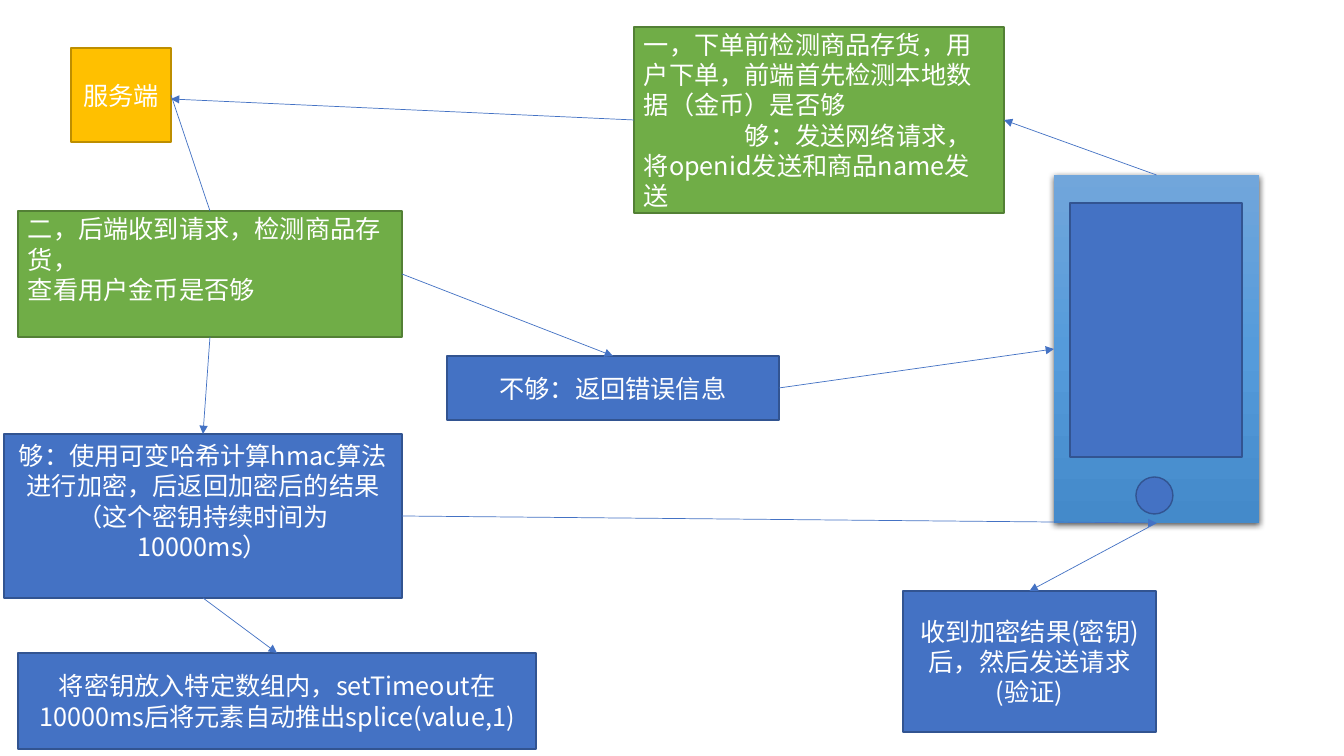
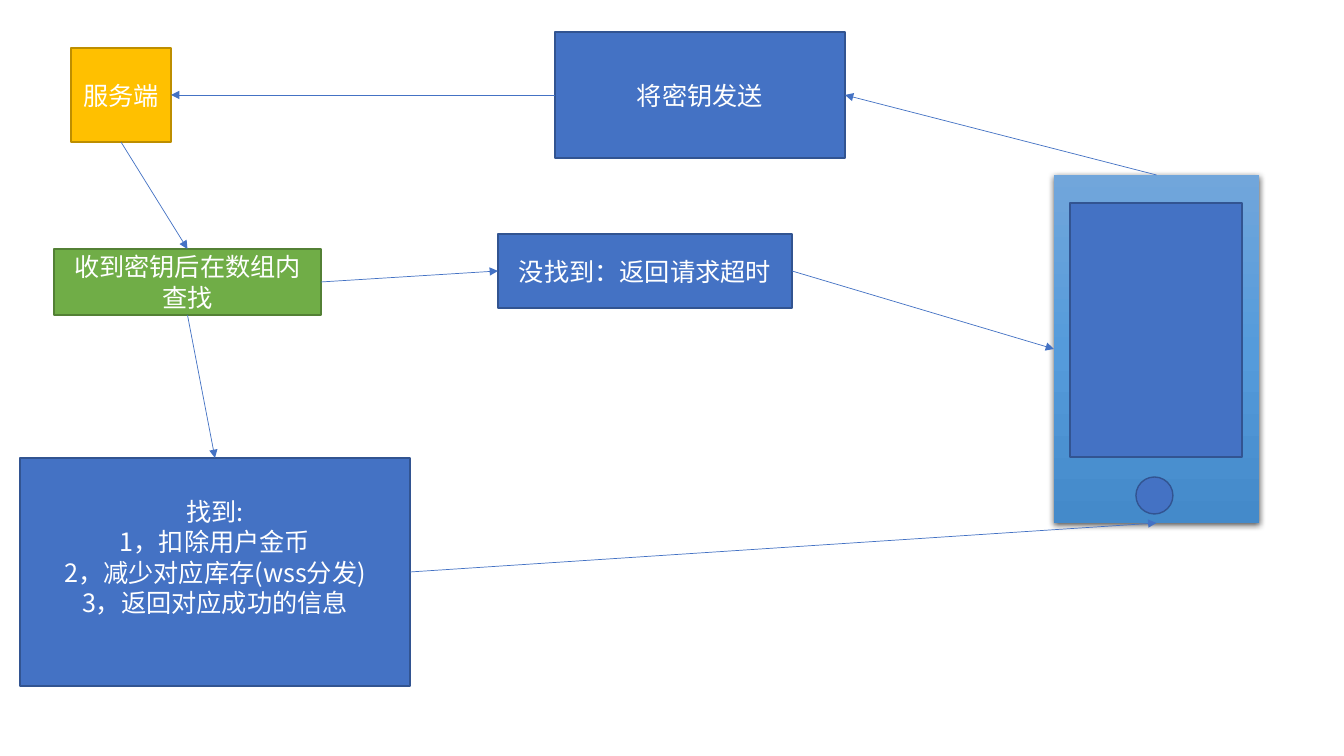
from copy import deepcopy
from dataclasses import dataclass

from lxml.etree import SubElement
from pptx import Presentation
from pptx.dml.color import RGBColor
from pptx.enum.shapes import MSO_CONNECTOR, MSO_SHAPE
from pptx.enum.text import MSO_ANCHOR, PP_ALIGN
from pptx.oxml.ns import qn
from pptx.util import Pt

RECT, OVAL = MSO_SHAPE.RECTANGLE, MSO_SHAPE.OVAL
STRAIGHT = MSO_CONNECTOR.STRAIGHT
LEFT, MID = PP_ALIGN.LEFT, PP_ALIGN.CENTER
MIDDLE = MSO_ANCHOR.MIDDLE
EMU = 914400 / 100.8
WIDE, HIGH = 1344, 756
SITES = {"top": 0, "left": 1, "bottom": 2, "right": 3}


@dataclass(frozen=True)
class Theme:
    """Colours, type and line widths of the deck."""
    blue: tuple = ("4472C4", "325491")
    green: tuple = ("70AD47", "538035")
    gold: tuple = ("FFC000", "BD8E00")
    glass: tuple = ((0, "71A6DB"), (0.5, "559BDB"), (1, "448ACA"))
    ink: str = "FFFFFF"
    font: str = "Noto Sans CJK SC"
    size: int = 18
    edge: float = 1
    wire: float = 0.5


T = Theme()
INSET, ROW, TAB = 5, 30, 101

# Shared by every slide: phone parts and the server box
PHONE = (1054, 175, 205, 348)
BUTTON = (1136, 477, 37, 37)
SCREEN = (1070, 203, 172, 254)
SERVER = ((71, 48, 100, 94), T.gold, ["服务端"], {})

# Box: place, colours, paragraphs, text format
# Link: from box, side, to box, side, then options
SLIDES = [
    {
        "boxes": {
            "ask": ((634, 27, 370, 186), T.green, [
                "一，下单前检测商品存货，用户下单，前端首先检测本地数据（金币）是否够",
                "够：发送网络请求，将openid发送和商品name发送",
            ], {"align": LEFT, "indents": (0, TAB)}),
            "check": ((18, 211, 384, 126), T.green, [
                "二，后端收到请求，检测商品存货，", "查看用户金币是否够",
            ], {"align": LEFT, "pad": ROW}),
            "fail": ((447, 356, 332, 64), T.blue, ["不够：返回错误信息"], {}),
            "enough": ((4, 434, 398, 164), T.blue, [
                "够：使用可变哈希计算hmac算法进行加密，后返回加密后的结果"
                "（这个密钥持续时间为10000ms）",
            ], {"pad": ROW}),
            "reply": ((903, 591, 253, 141), T.blue, [
                "收到加密结果(密钥)后，然后发送请求(验证)"], {}),
            "store": ((18, 653, 518, 96), T.blue, [
                "将密钥放入特定数组内，setTimeout在10000ms后将元素"
                "自动推出splice(value,1)"], {}),
        },
        "links": [
            ("phone", "top", "ask", "right", {}),
            ("ask", "left", "server", "right", {"nudge": 4}),
            ("server", "right", "check", "top", {"head": False}),
            ("check", "right", "fail", "top", {}),
            ("fail", "right", "phone", "left", {}),
            ("check", "bottom", "enough", "top", {}),
            ("enough", "right", "phone", "bottom", {}),
            ("phone", "bottom", "reply", "top", {}),
            ("enough", "bottom", "store", "top", {}),
        ],
    },
    {
        "boxes": {
            "send": ((555, 32, 290, 126), T.blue, ["将密钥发送"], {}),
            "seek": ((54, 249, 267, 66), T.green, ["收到密钥后在数组内查找"], {}),
            "miss": ((498, 234, 294, 74), T.blue, ["没找到：返回请求超时"], {}),
            "hit": ((20, 458, 390, 228), T.blue, [
                "找到:", "1，扣除用户金币", "2，减少对应库存(wss分发)",
                "3，返回对应成功的信息"], {"pad": ROW}),
        },
        "links": [
            ("phone", "top", "send", "right", {}),
            ("send", "left", "server", "right", {}),
            ("server", "bottom", "seek", "top", {}),
            ("seek", "right", "miss", "left", {}),
            ("miss", "right", "phone", "left", {}),
            ("seek", "bottom", "hit", "top", {}),
            ("hit", "right", "phone", "bottom", {}),
        ],
    },
]


def px(n):
    """Turn pixels into EMU."""
    return round(n * EMU)


def rgb(code):
    """Turn a hex code into a colour."""
    return RGBColor.from_string(code)


def write(shape, lines, align=MID, pad=0, indents=()):
    """Fill a shape with paragraphs; pad adds room below the text."""
    frame = shape.text_frame
    frame.word_wrap, frame.vertical_anchor = True, MIDDLE
    frame.margin_bottom = px(INSET + pad)
    frame.text = "\n".join(lines)
    for para in frame.paragraphs:
        para.alignment = align
        run = para.runs[0]
        run.font.size, run.font.name = Pt(T.size), T.font
        run.font.color.rgb = rgb(T.ink)
        SubElement(run.font._element, qn("a:ea"), typeface=T.font)
    for para, dent in zip(frame.paragraphs, indents):
        para._p.get_or_add_pPr().set("indent", str(px(dent)))


def block(slide, place, tint, kind=RECT):
    """Draw a flat shape with a fill and an edge."""
    shape = slide.shapes.add_shape(kind, *map(px, place))
    shape.shadow.inherit = False
    shape.fill.solid()
    shape.fill.fore_color.rgb = rgb(tint[0])
    shape.line.color.rgb = rgb(tint[1])
    shape.line.width = Pt(T.edge)
    return shape


def phone(slide):
    """Draw the phone and return its body."""
    body = block(slide, PHONE, T.blue)
    body.line.fill.background()
    body.fill.gradient()
    body.fill.gradient_angle = 270
    props = body._element.spPr
    stops = props.find(".//" + qn("a:gsLst"))
    stops.append(deepcopy(stops[-1]))
    for stop, (spot, code) in zip(body.fill.gradient_stops, T.glass):
        stop.position, stop.color.rgb = spot, rgb(code)
    glow = SubElement(props.find(qn("a:effectLst")), qn("a:outerShdw"),
                      blurRad=str(Pt(4.5)), dist=str(Pt(1.5)),
                      dir="5400000", algn="ctr", rotWithShape="0")
    shade = SubElement(glow, qn("a:srgbClr"), val="000000")
    SubElement(shade, qn("a:alpha"), val="63000")
    block(slide, BUTTON, T.blue, OVAL)
    block(slide, SCREEN, T.blue)
    return body


def link(slide, start, out, end, into, head=True, nudge=0):
    """Join two shapes side to side; nudge lowers the far end."""
    wire = slide.shapes.add_connector(STRAIGHT, 0, 0, 0, 0)
    wire.begin_connect(start, SITES[out])
    wire.end_connect(end, SITES[into])
    if nudge:
        wire.end_y += px(nudge)
    wire.line.color.rgb = rgb(T.blue[0])
    wire.line.width = Pt(T.wire)
    props = wire._element.spPr
    if head:
        SubElement(props.find(qn("a:ln")), qn("a:tailEnd"), type="triangle")
    SubElement(props, qn("a:effectLst"))


def build(deck, boxes, links):
    """Add one flow slide."""
    slide = deck.slides.add_slide(deck.slide_layouts[6])
    nodes = {"phone": phone(slide)}
    for name, (place, tint, lines, form) in {"server": SERVER, **boxes}.items():
        nodes[name] = block(slide, place, tint)
        write(nodes[name], lines, **form)
    for start, out, end, into, form in links:
        link(slide, nodes[start], out, nodes[end], into, **form)


def main():
    """Build and save the deck."""
    deck = Presentation()
    deck.slide_width, deck.slide_height = px(WIDE), px(HIGH)
    for page in SLIDES:
        build(deck, **page)
    deck.save("out.pptx")


main()
